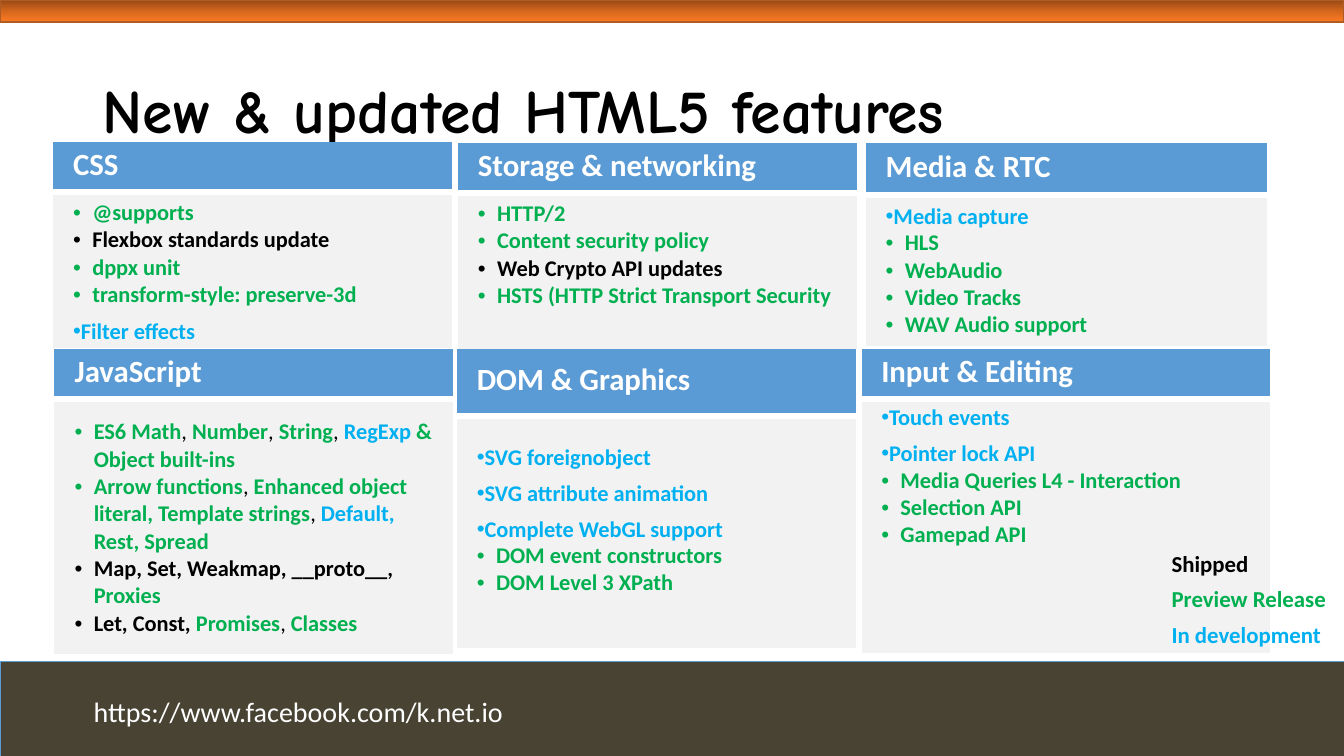
import copy
import dataclasses
import typing

import lxml.etree
import pptx
import pptx.dml.color
import pptx.enum.shapes
import pptx.enum.text
import pptx.oxml.ns
import pptx.util

BLACK, WHITE = "000000", "FFFFFF"
GREEN, SKY = "00B050", "00B0F0"
BLUE, GREY = "5B9BD5", "F2F2F2"
BODY_FONT, TITLE_FONT = "Calibri", "Comic Neue"
HANG = pptx.util.Inches(0.19)
GAP = pptx.util.Pt(4.5)
MIDDLE = pptx.enum.text.MSO_ANCHOR.MIDDLE
TOP = pptx.enum.text.MSO_ANCHOR.TOP

prs = pptx.Presentation()
prs.slide_width = pptx.util.Inches(13.33)
prs.slide_height = pptx.util.Inches(7.5)


class Run(typing.NamedTuple):
    text: str
    color: str
    bold: bool = True


class Area(typing.NamedTuple):
    left: float
    top: float
    width: float
    height: float


@dataclasses.dataclass
class Item:
    runs: list[Run]
    flush: bool = False


@dataclasses.dataclass
class Panel:
    title: str
    left: float
    top: float
    width: float
    rows: tuple[float, float]
    items: list[Item]
    anchor: pptx.enum.text.MSO_ANCHOR = MIDDLE
    bottom: float = 0.07


def shipped(text: str) -> Item:
    return Item([Run(text, BLACK)])


def preview(text: str) -> Item:
    return Item([Run(text, GREEN)])


def developing(text: str) -> Item:
    return Item([Run(text, SKY)], flush=True)


COMMA = Run(", ", BLACK, False)

PANELS = [
    Panel("CSS", 3.94, 18.8, 29.93, (6.6, 21.07), [
        preview("@supports"),
        shipped("Flexbox standards update"),
        preview("dppx unit"),
        preview("transform-style: preserve-3d"),
        developing("Filter effects")]),
    Panel("Storage & networking", 34.06, 18.93, 29.93, (6.6, 27.2), [
        preview("HTTP/2"),
        preview("Content security policy"),
        shipped("Web Crypto API updates"),
        preview("HSTS (HTTP Strict Transport Security")], TOP),
    Panel("Media & RTC", 64.4, 18.93, 30.08, (6.85, 20.35), [
        developing("Media capture"),
        preview("HLS"),
        preview("WebAudio"),
        preview("Video Tracks"),
        preview("WAV Audio support")]),
    Panel("Input & Editing", 64.07, 46.2, 30.63, (6.6, 34), [
        developing("Touch events"),
        developing("Pointer lock API"),
        preview("Media Queries L4 - Interaction"),
        preview("Selection API"),
        preview("Gamepad API")], TOP),
    Panel("JavaScript", 4.05, 46.17, 29.88, (6.6, 34.1), [
        Item([Run("ES6 Math", GREEN), COMMA, Run("Number", GREEN), COMMA,
              Run("String", GREEN), COMMA, Run("RegExp ", SKY),
              Run("& Object built-ins", GREEN)]),
        Item([Run("Arrow functions", GREEN), COMMA,
              Run("Enhanced object literal, Template strings", GREEN), COMMA,
              Run("Default, ", SKY), Run("Rest, Spread", GREEN)]),
        Item([Run("Map, Set, Weakmap, __proto__, ", BLACK),
              Run("Proxies", GREEN)]),
        Item([Run("Let, Const, ", BLACK), Run("Promises", GREEN), COMMA,
              Run("Classes", GREEN)])]),
    Panel("DOM & Graphics", 33.98, 46.13, 29.93, (8.9, 31.07), [
        developing("SVG foreignobject"),
        developing("SVG attribute animation"),
        developing("Complete WebGL support"),
        preview("DOM event constructors"),
        preview("DOM Level 3 XPath")], bottom=0.31),
]

LEGEND = [Run("Shipped", BLACK), Run("Preview Release", GREEN),
          Run("In development", SKY)]


def rgb(color: str) -> pptx.dml.color.RGBColor:
    return pptx.dml.color.RGBColor.from_string(color)


def across(percent: float) -> int:
    return round(prs.slide_width * percent / 100)


def down(percent: float) -> int:
    return round(prs.slide_height * percent / 100)


def place(area: Area) -> tuple[int, int, int, int]:
    return across(area.left), down(area.top), across(area.width), down(area.height)


def add_run(p, run: Run, size: float, font: str = BODY_FONT) -> None:
    r = p.add_run()
    r.text = run.text
    r.font.size = pptx.util.Pt(size)
    r.font.name = font
    r.font.bold = run.bold
    r.font.color.rgb = rgb(run.color)


def set_insets(box, left: float, top: float, right: float, bottom: float) -> None:
    box.margin_left = pptx.util.Inches(left)
    box.margin_top = pptx.util.Inches(top)
    box.margin_right = pptx.util.Inches(right)
    box.margin_bottom = pptx.util.Inches(bottom)


def add_bar(s, area: Area, line: str, weight: float):
    sp = s.shapes.add_shape(pptx.enum.shapes.MSO_SHAPE.RECTANGLE, *place(area))
    sp.shadow.inherit = False
    sp.line.color.rgb = rgb(line)
    sp.line.width = pptx.util.Pt(weight)
    return sp


def add_top_bar(s) -> None:
    sp = add_bar(s, Area(0, 0, 100, 2.93), "AF5C24", 1)
    sp.fill.gradient()
    sp.fill.gradient_angle = 270
    stops = sp._element.find(".//" + pptx.oxml.ns.qn("a:gsLst"))
    stops.insert(1, copy.deepcopy(stops[0]))
    colors = ("954815", "D4671D", "FB7A23")
    for i, (stop, color) in enumerate(zip(sp.fill.gradient_stops, colors)):
        stop.position = i / 2
        stop.color.rgb = rgb(color)


def add_footer(s) -> None:
    sp = add_bar(s, Area(0, 87.47, 100, 12.53), BLUE, 0.5)
    sp.fill.solid()
    sp.fill.fore_color.rgb = rgb("484333")
    tf = s.shapes.add_textbox(*place(Area(6.23, 91.2, 35.86, 5.87))).text_frame
    tf.word_wrap = True
    add_run(tf.paragraphs[0],
            Run("https://www.facebook.com/k.net.io", WHITE, False), 20)


def add_title(s) -> None:
    sp = s.shapes.title
    sp.left, sp.top, sp.width, sp.height = place(Area(6.9, 5.33, 86.27, 19.33))
    tf = sp.text_frame
    tf.word_wrap = True
    tf.auto_size = pptx.enum.text.MSO_AUTO_SIZE.NONE
    tf.vertical_anchor = MIDDLE
    p = tf.paragraphs[0]
    p.alignment = pptx.enum.text.PP_ALIGN.LEFT
    p.line_spacing = 0.9
    add_run(p, Run("New & updated HTML5 features", BLACK), 44, TITLE_FONT)


def style_cell(cell, fill: str, white_edges: str) -> None:
    tc_pr = cell._tc.get_or_add_tcPr()
    for edge in "LRTB":
        ln = lxml.etree.SubElement(tc_pr, pptx.oxml.ns.qn("a:ln" + edge))
        if edge in white_edges:
            ln.set("w", str(GAP))
            solid = lxml.etree.SubElement(ln, pptx.oxml.ns.qn("a:solidFill"))
            lxml.etree.SubElement(solid, pptx.oxml.ns.qn("a:srgbClr"), val=WHITE)
        else:
            lxml.etree.SubElement(ln, pptx.oxml.ns.qn("a:noFill"))
    cell.fill.solid()
    cell.fill.fore_color.rgb = rgb(fill)


def add_item(tf, item: Item, first: bool) -> None:
    p = tf.paragraphs[0] if first else tf.add_paragraph()
    p_pr = p._p.get_or_add_pPr()
    p_pr.set("marL", "0" if item.flush else str(HANG))
    p_pr.set("indent", str(-HANG))
    lxml.etree.SubElement(p_pr, pptx.oxml.ns.qn("a:buFont"), typeface="Arial")
    lxml.etree.SubElement(p_pr, pptx.oxml.ns.qn("a:buChar"), char="•")
    if item.flush:
        p.line_spacing = 0.9
        p.space_before = pptx.util.Pt(0 if first else 8)
    for run in item.runs:
        add_run(p, run, 16)


def add_panel(s, panel: Panel) -> None:
    area = Area(panel.left, panel.top, panel.width, sum(panel.rows))
    table = s.shapes.add_table(2, 1, *place(area)).table
    table.first_row = table.horz_banding = False
    for row, height in zip(table.rows, panel.rows):
        row.height = down(height)
    head, body = table.cell(0, 0), table.cell(1, 0)
    style_cell(head, BLUE, "RB")
    set_insets(head, 0.2, 0.04, 0.2, 0.08)
    head.vertical_anchor = MIDDLE
    add_run(head.text_frame.paragraphs[0], Run(panel.title, WHITE), 22)
    style_cell(body, GREY, "RTB")
    set_insets(body, 0.2, 0.07, 0.2, panel.bottom)
    body.vertical_anchor = panel.anchor
    for i, item in enumerate(panel.items):
        add_item(body.text_frame, item, i == 0)


def add_legend(s) -> None:
    tf = s.shapes.add_textbox(*place(Area(85.67, 70.93, 14.33, 17.47))).text_frame
    tf.word_wrap = True
    set_insets(tf, 0.2, 0.16, 0, 0.16)
    for i, run in enumerate(LEGEND):
        p = tf.add_paragraph() if i else tf.paragraphs[0]
        p.line_spacing = 0.9
        p.space_before = pptx.util.Pt(8 if i else 0)
        add_run(p, run, 16.3)


def main() -> None:
    s = prs.slides.add_slide(prs.slide_layouts[5])
    add_top_bar(s)
    add_footer(s)
    add_title(s)
    for panel in PANELS:
        add_panel(s, panel)
    add_legend(s)
    prs.save("out.pptx")


if __name__ == "__main__":
    main()
